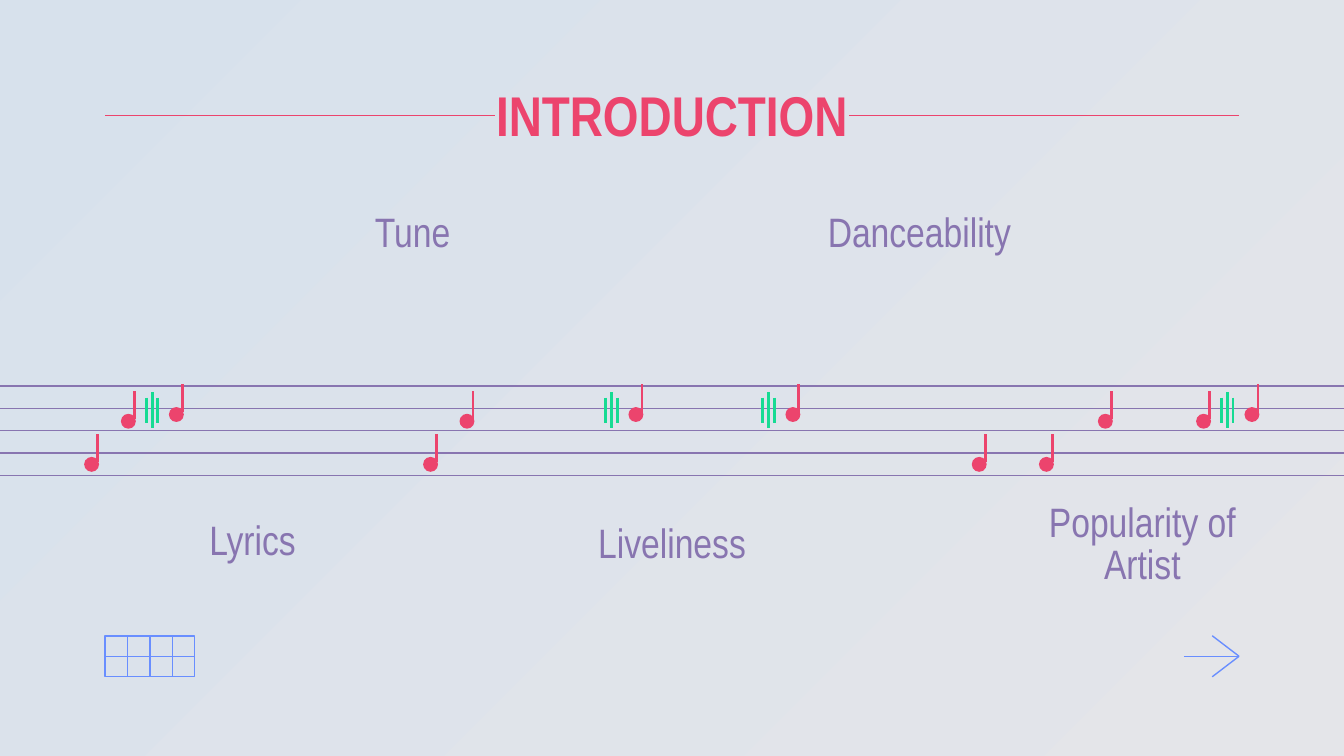
from typing import NamedTuple

from lxml import etree
from pptx import Presentation
from pptx.dml.color import RGBColor
from pptx.enum.shapes import MSO_CONNECTOR, MSO_SHAPE
from pptx.enum.text import MSO_ANCHOR, PP_ALIGN
from pptx.oxml.ns import qn
from pptx.util import Pt

STRAIGHT = MSO_CONNECTOR.STRAIGHT
RECT, OVAL = MSO_SHAPE.RECTANGLE, MSO_SHAPE.OVAL
CENTER, MIDDLE = PP_ALIGN.CENTER, MSO_ANCHOR.MIDDLE

PINK = RGBColor(0xEC, 0x44, 0x6D)
PURPLE = RGBColor(0x88, 0x75, 0xB0)
GREEN = RGBColor(0x16, 0xDB, 0x93)
BLUE = RGBColor(0x69, 0x8E, 0xFF)
BG_START = RGBColor(0xE4, 0xE5, 0xE9)
BG_END = RGBColor(0xD7, 0xE1, 0xEC)
FONT = "Arial Narrow"
THIN, THICK = 0.75, 1.5

LEFT, RIGHT = 56.2, 663.8  # content margins
LOW, MID, HIGH = 232.6, 209.5, 205.9  # tops of note stems


class Label(NamedTuple):
    text: str
    left: float
    top: float


class Note(NamedTuple):
    stem_x: float
    top: float


LABELS = [
    Label("Danceability", 434.2, 115.2),
    Label("Tune", 162.7, 115.2),
    Label("Liveliness", 301.7, 281.5),
    Label("Popularity of Artist", 553.7, 281.5),
    Label("Lyrics", 77, 280.1),
]
NOTES = [
    Note(52.3, LOW), Note(72, MID), Note(97.7, HIGH),
    Note(233.9, LOW), Note(253.4, MID), Note(343.9, HIGH),
    Note(428, HIGH), Note(527.8, LOW), Note(563.8, LOW),
    Note(595.4, MID), Note(648, MID), Note(673.9, HIGH),
]
SOUND_BARS = [81.5, 327.6, 411.7, 657.5]  # centre of each group


def add_line(s, x1: float, y1: float, x2: float, y2: float,
             color: RGBColor, width: float = THIN) -> None:
    line = s.shapes.add_connector(STRAIGHT, Pt(x1), Pt(y1), Pt(x2), Pt(y2))
    line.line.color.rgb = color
    line.line.width = Pt(width)
    etree.SubElement(line._element.spPr, qn("a:effectLst"))


def add_text(s, text: str, left: float, top: float, width: float,
             height: float, size: float, color: RGBColor,
             bold: bool = False, spacing: float = 1.0) -> None:
    sp = s.shapes.add_textbox(Pt(left), Pt(top), Pt(width), Pt(height))
    tf = sp.text_frame
    tf.word_wrap = True
    tf.vertical_anchor = MIDDLE
    tf.margin_left = tf.margin_right = Pt(7.2)
    tf.margin_top = tf.margin_bottom = Pt(7.2)
    p = tf.paragraphs[0]
    p.text = text
    p.alignment = CENTER
    p.line_spacing = spacing
    p.font.name, p.font.size, p.font.bold = FONT, Pt(size), bold
    p.font.color.rgb = color


def add_note(s, note: Note) -> None:
    x, top = note
    add_line(s, x, top, x, top + 15.1, PINK, THICK)
    head = s.shapes.add_shape(OVAL, Pt(x - 7.2), Pt(top + 12.2), Pt(8), Pt(8))
    head.shadow.inherit = False
    head.fill.solid()
    head.fill.fore_color.rgb = PINK
    head.line.fill.background()


def add_sound_bars(s, x: float) -> None:
    for dx, top in ((-3.1, 213.1), (3.1, 213.1), (0, 210.2), (0, 216)):
        add_line(s, x + dx, top, x + dx, top + 13.5, GREEN, THICK)


def add_grid_icon(s, left: float, top: float, width: float,
                  height: float) -> None:
    sp = s.shapes.add_shape(RECT, Pt(left), Pt(top), Pt(width), Pt(height))
    sp.shadow.inherit = False
    sp.fill.background()
    sp.line.color.rgb = BLUE
    sp.line.width = Pt(THIN)
    for i in range(1, 4):
        x = left + i * width / 4
        add_line(s, x, top, x, top + height, BLUE)
    y = top + height / 2
    add_line(s, left, y, left + width, y, BLUE)


def add_arrow_icon(s, tip_x: float, y: float) -> None:
    add_line(s, tip_x - 29.5, y, tip_x, y, BLUE)
    for dy in (-11, 11):
        add_line(s, tip_x - 14.4, y + dy, tip_x, y, BLUE)


prs = Presentation()
prs.slide_width, prs.slide_height = Pt(720), Pt(405)
s = prs.slides.add_slide(prs.slide_layouts[6])

# Background
fill = s.background.fill
fill.gradient()
fill.gradient_angle = 135
for stop, color in zip(fill.gradient_stops, (BG_START, BG_END)):
    stop.color.rgb = color

# Corner icons
add_arrow_icon(s, RIGHT, 351.6)
add_grid_icon(s, LEFT, 340.8, 48.2, 21.6)

# Staff with notes and sound bars
for i in range(5):
    y = 206.8 + i * 12
    add_line(s, -0.7, y, 720.7, y, PURPLE)
for x in SOUND_BARS:
    add_sound_bars(s, x)
for note in NOTES:
    add_note(s, note)

# Labels around the staff
for label in LABELS:
    add_text(s, label.text, label.left, label.top, 116.6, 21.6, 22, PURPLE,
             spacing=0.85)

# Title between two rules
add_text(s, "INTRODUCTION", LEFT, 42.5, RIGHT - LEFT, 37.4, 30, PINK, bold=True)
for x1, x2 in ((265, LEFT), (RIGHT, 455)):
    add_line(s, x1, 61.9, x2, 61.9, PINK)

prs.save("out.pptx")
